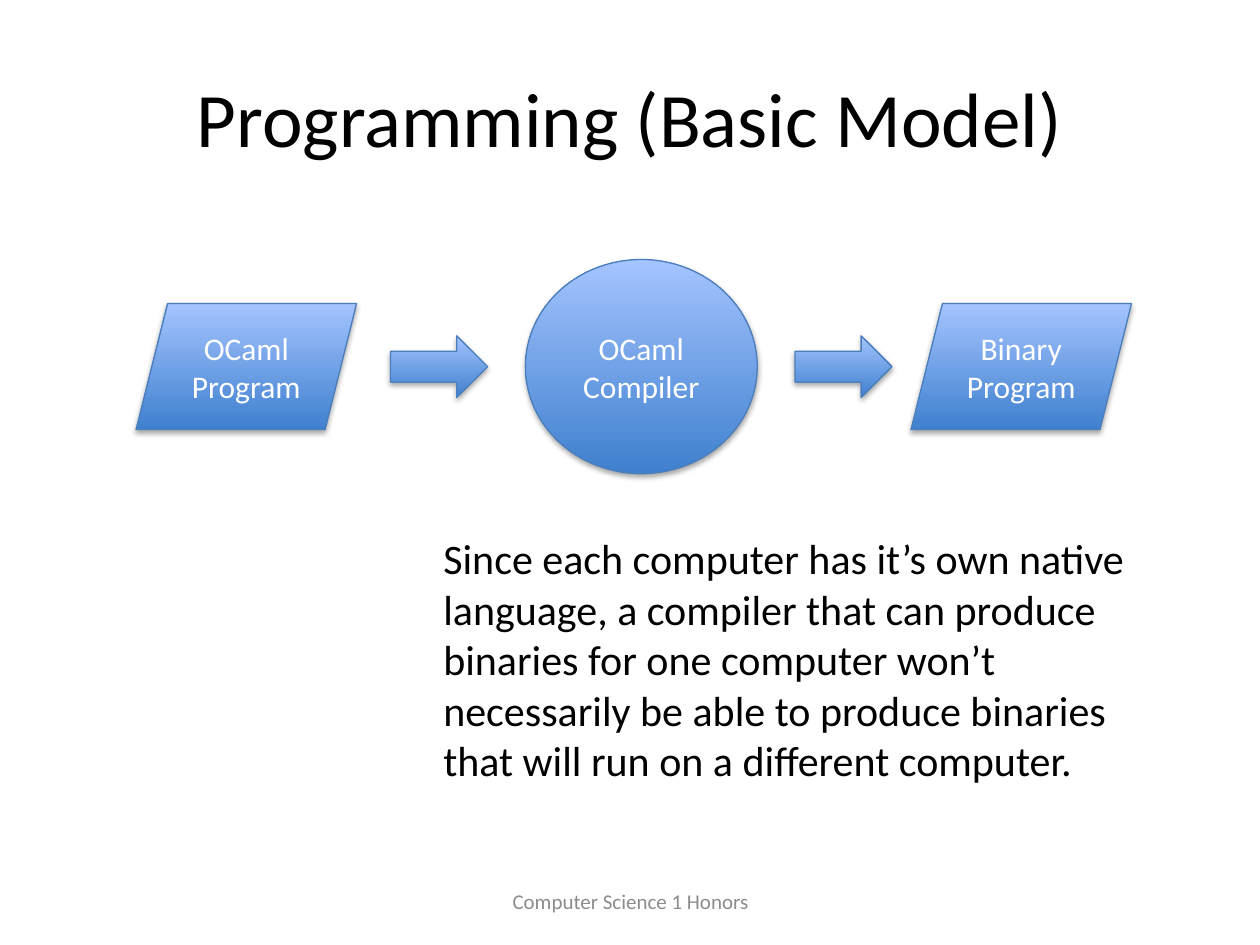
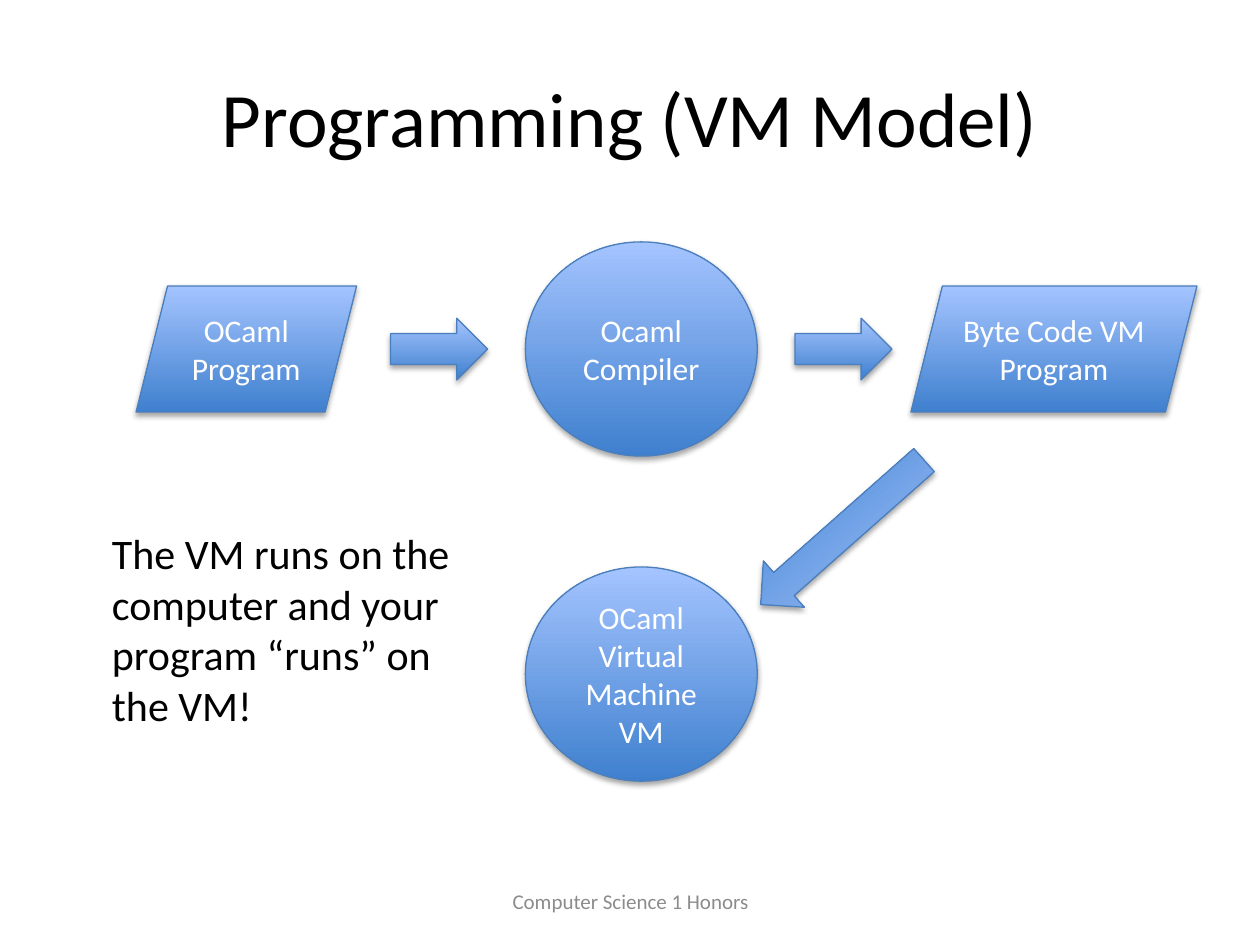
import pptx
import pptx.util
import pptx.oxml
import pptx.oxml.ns
import pptx.dml.color
import pptx.enum.shapes
import pptx.enum.text

Inches = pptx.util.Inches
Pt = pptx.util.Pt
SHAPE = pptx.enum.shapes.MSO_SHAPE
ALIGN = pptx.enum.text.PP_ALIGN
ANCHOR = pptx.enum.text.MSO_ANCHOR

FONT = "Calibri"
COLORS = {
    "text": "000000",
    "footer": "8C8C8C",
    "label": "FFFFFF",
    "fill_bottom": "3F80CE",
    "fill_top": "A4C4FF",
    "outline": "4B7EBC",
    "shadow": "000000",
}
TITLE_BOX = (0.5, 0.3, 9, 1.25)
FOOTER_BOX = (3.42, 6.95, 3.17, 0.4)
COLUMNS = {"source": 1.08, "compiler": 4.17, "result": 7.23}
ARROW_COLUMNS = (3.1, 6.31)
DATA_WIDTH, DATA_HEIGHT = 1.75, 1
CIRCLE_WIDTH, CIRCLE_HEIGHT = 1.84, 1.7
ARROW_WIDTH, ARROW_HEIGHT = 0.77, 0.49


def color(name):
    return pptx.dml.color.RGBColor.from_string(COLORS[name])


def write(frame, text, size=18, tone="text", align=ALIGN.LEFT, anchor=ANCHOR.TOP):
    frame.word_wrap = True
    frame.vertical_anchor = anchor
    for index, line in enumerate(text.split("\n")):
        para = frame.add_paragraph() if index else frame.paragraphs[0]
        para.alignment = align
        span = para.add_run()
        span.text = line
        span.font.name = FONT
        span.font.size = Pt(size)
        span.font.color.rgb = color(tone)


def add_text(page, box, text, **style):
    shape = page.shapes.add_textbox(*map(Inches, box))
    write(shape.text_frame, text, **style)


def add_shadow(shape):
    shape.shadow.inherit = False
    effects = shape._element.spPr.find(pptx.oxml.ns.qn("a:effectLst"))
    effects.append(pptx.oxml.parse_xml(
        f'<a:outerShdw {pptx.oxml.ns.nsdecls("a")} blurRad="{Pt(3.15)}" '
        f'dist="{Pt(1.8)}" dir="5400000" rotWithShape="0">'
        f'<a:srgbClr val="{COLORS["shadow"]}"><a:alpha val="35000"/></a:srgbClr>'
        "</a:outerShdw>"))


def add_node(page, kind, box, text="", rotation=0):
    shape = page.shapes.add_shape(kind, *map(Inches, box))
    shape.rotation = rotation
    shape.fill.gradient()
    shape.fill.gradient_angle = 90
    for stop, tone in zip(shape.fill.gradient_stops, ("fill_bottom", "fill_top")):
        stop.color.rgb = color(tone)
    shape.line.color.rgb = color("outline")
    shape.line.width = Pt(0.75)
    add_shadow(shape)
    if text:
        write(shape.text_frame, text, tone="label", align=ALIGN.CENTER,
              anchor=ANCHOR.MIDDLE)


def add_circle(page, middle, text):
    add_node(page, SHAPE.OVAL,
             (COLUMNS["compiler"], middle - CIRCLE_HEIGHT / 2,
              CIRCLE_WIDTH, CIRCLE_HEIGHT), text)


def add_flow(page, middle, source, compiler, result, result_width=DATA_WIDTH):
    data_top = middle - DATA_HEIGHT / 2
    add_node(page, SHAPE.PARALLELOGRAM,
             (COLUMNS["source"], data_top, DATA_WIDTH, DATA_HEIGHT), source)
    add_circle(page, middle, compiler)
    add_node(page, SHAPE.PARALLELOGRAM,
             (COLUMNS["result"], data_top, result_width, DATA_HEIGHT), result)
    for left in ARROW_COLUMNS:
        add_node(page, SHAPE.RIGHT_ARROW,
                 (left, middle - ARROW_HEIGHT / 2, ARROW_WIDTH, ARROW_HEIGHT))


def add_page(deck, title):
    page = deck.slides.add_slide(deck.slide_layouts[5])
    heading = page.shapes.title
    heading.left, heading.top, heading.width, heading.height = map(Inches, TITLE_BOX)
    write(heading.text_frame, title, size=44, align=ALIGN.CENTER,
          anchor=ANCHOR.MIDDLE)
    add_text(page, FOOTER_BOX, "Computer Science 1 Honors", size=12, tone="footer",
             align=ALIGN.CENTER, anchor=ANCHOR.MIDDLE)
    return page


def build_basic_model(deck):
    page = add_page(deck, "Programming (Basic Model)")
    add_flow(page, 2.91, "OCaml Program", "OCaml Compiler", "Binary Program")
    add_text(page, (3.42, 4.18, 6.08, 2.12),
             "Since each computer has it’s own native language, a compiler that can "
             "produce binaries for one computer won’t necessarily be able to produce "
             "binaries that will run on a different computer.", size=24)


def build_vm_model(deck):
    page = add_page(deck, "Programming (VM Model)")
    add_flow(page, 2.77, "OCaml Program", "Ocaml\nCompiler", "Byte Code VM Program",
             result_width=2.27)
    add_circle(page, 5.35, "OCaml\nVirtual Machine VM")
    add_node(page, SHAPE.RIGHT_ARROW, (5.82, 3.98, 1.73, ARROW_HEIGHT),
             rotation=138.5)
    add_text(page, (0.79, 4.14, 3.23, 1.72),
             "The VM runs on the computer and your program “runs” on the VM!", size=24)


def main():
    deck = pptx.Presentation()
    deck.slide_width, deck.slide_height = Inches(10), Inches(7.5)
    build_basic_model(deck)
    build_vm_model(deck)
    deck.save("out.pptx")


if __name__ == "__main__":
    main()
